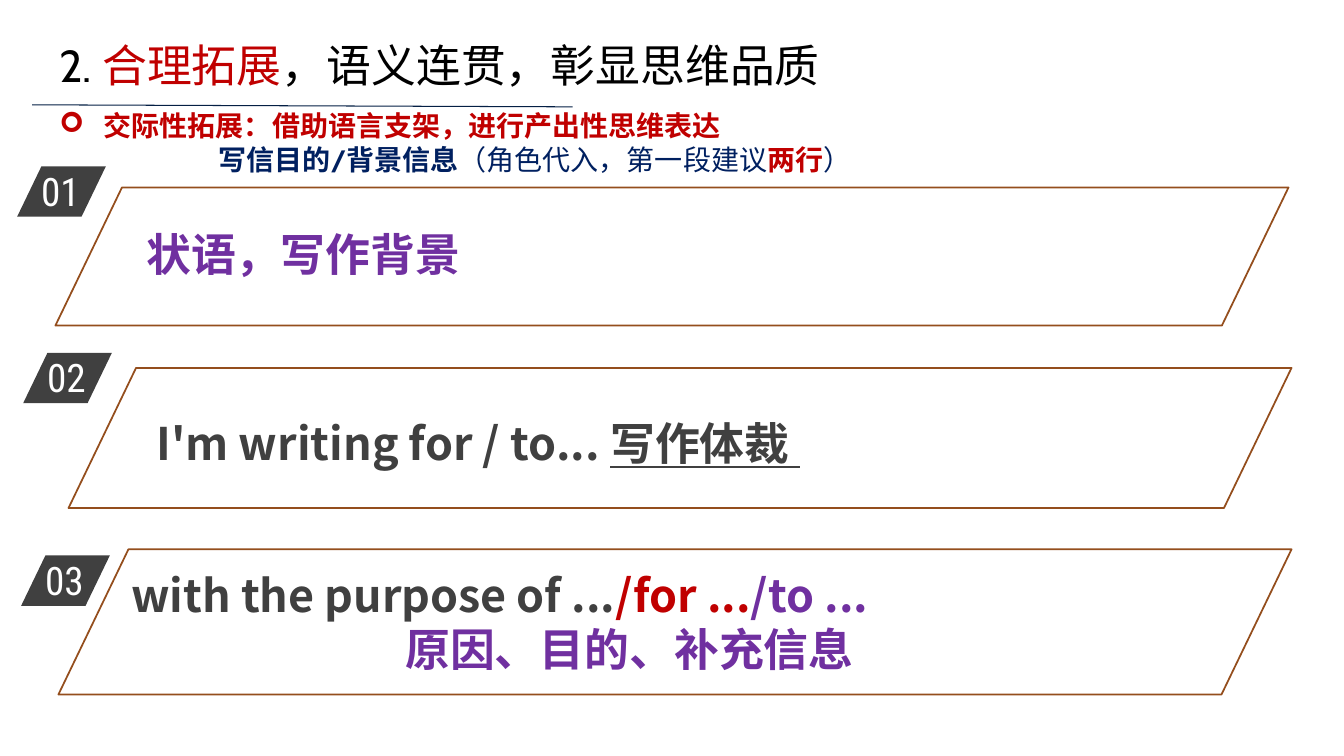
from pptx import Presentation
from pptx.dml.color import RGBColor
from pptx.enum.shapes import MSO_CONNECTOR, MSO_SHAPE
from pptx.enum.text import MSO_ANCHOR, MSO_AUTO_SIZE, PP_ALIGN
from pptx.oxml.ns import qn
from pptx.util import Inches, Pt
from lxml.etree import SubElement

W, H = 13.33, 7.5
CJK, LATIN, NUMERAL = "Noto Sans CJK SC", "Cabin", "Roboto Condensed"
BLACK, WHITE, GREY = "000000", "FFFFFF", "404040"
RED, PURPLE, NAVY = "C00000", "7030A0", "002060"
RULE, BROWN = "041F44", "944E1D"
SLANT = 0.482


def color(value):
    return RGBColor.from_string(value)


def place(sp, box):
    sp.left, sp.top, sp.width, sp.height = map(Inches, box)


def add_run(p, text, size=32, font=CJK, fill=GREY, bold=False, underline=False):
    r = p.add_run()
    r.text = text
    f = r.font
    f.size, f.name, f.bold, f.underline = Pt(size), font, bold, underline
    f.color.rgb = color(fill)
    SubElement(r._r.get_or_add_rPr(), qn("a:ea")).set("typeface", CJK)


def set_indent(p, margin, first=0.0, bullet=None):
    pPr = p._p.get_or_add_pPr()
    pPr.set("marL", str(Inches(margin)))
    pPr.set("indent", str(Inches(first)))
    if bullet:
        SubElement(pPr, qn("a:buFont")).set("typeface", "Wingdings")
        SubElement(pPr, qn("a:buChar")).set("char", bullet)


def fill_text(sp, paragraphs, inset=(0.1, 0.05)):
    """Each paragraph is a list of (text, format) pairs."""
    tf = sp.text_frame
    tf.word_wrap, tf.auto_size = True, MSO_AUTO_SIZE.NONE
    tf.vertical_anchor = MSO_ANCHOR.TOP
    tf.margin_left = tf.margin_right = Inches(inset[0])
    tf.margin_top = tf.margin_bottom = Inches(inset[1])
    for i, runs in enumerate(paragraphs):
        p = tf.add_paragraph() if i else tf.paragraphs[0]
        p.alignment = PP_ALIGN.LEFT
        for text, style in runs:
            add_run(p, text, **style)
    return tf.paragraphs


def add_text(s, box, paragraphs, **kwargs):
    return fill_text(s.shapes.add_textbox(*map(Inches, box)), paragraphs, **kwargs)


def add_slanted(s, box, fill=None, line=None):
    sp = s.shapes.add_shape(MSO_SHAPE.PARALLELOGRAM, *map(Inches, box))
    sp.adjustments[0] = SLANT
    sp.shadow.inherit = False
    if fill:
        sp.fill.solid()
        sp.fill.fore_color.rgb = color(fill)
    else:
        sp.fill.background()
    if line:
        sp.line.color.rgb = color(line)
        sp.line.width = Pt(1.25)
    else:
        sp.line.fill.background()


def add_rule(s, start, end):
    line = s.shapes.add_connector(MSO_CONNECTOR.STRAIGHT, *map(Inches, start + end))
    line.line.color.rgb = color(RULE)
    line.line.width = Pt(0.75)
    SubElement(line._element.spPr, qn("a:effectLst"))


def add_badge(s, number, left, top):
    add_slanted(s, (left, top, 0.88, 0.5), fill=GREY)
    label = [[(f"{number:02d}", dict(size=28, font=NUMERAL, fill=WHITE))]]
    add_text(s, (left + 0.14, top - 0.04, 0.84, 0.49), label)


def add_panel(s, frame, text_box, paragraphs):
    ps = add_text(s, text_box, paragraphs, inset=(0.07, 0.04))
    add_slanted(s, frame, line=BROWN)
    return ps


def main():
    prs = Presentation()
    prs.slide_width, prs.slide_height = Inches(W), Inches(H)
    s = prs.slides.add_slide(prs.slide_layouts[5])

    # Title and the rule below it
    title = s.shapes.title
    place(title, (0.49, 0.32, 12.77, 0.64))
    fill_text(title, [[
        ("2. ", dict(font=LATIN, fill=BLACK)),
        ("合理拓展", dict(font=LATIN, fill=RED)),
        ("，语义连贯，彰显思维品质", dict(font=LATIN, fill=BLACK)),
    ]])
    add_rule(s, (0.32, 1.04), (5.68, 1.06))

    # Heading with its purpose line
    small = dict(size=20, font=LATIN)
    heading, purpose = add_text(s, (0.49, 1.03, 11.79, 0.77), [
        [("交际性拓展：借助语言支架，进行产出性思维表达", dict(small, fill=RED, bold=True))],
        [("写信目的/背景信息", dict(small, fill=NAVY, bold=True)),
         ("（角色代入，第一段建议", dict(small, fill=NAVY)),
         ("两行", dict(small, fill=RED, bold=True)),
         ("）", dict(small, fill=NAVY))],
    ])
    set_indent(heading, 0.44, -0.44, "➢")
    set_indent(purpose, 1.58)

    # Numbered badges
    for number, (left, top) in enumerate([(0.17, 1.65), (0.23, 3.5), (0.21, 5.51)], 1):
        add_badge(s, number, left, top)

    # Sentence panels
    add_panel(s, (0.55, 1.86, 12.23, 1.37), (1.38, 2.21, 11.31, 0.61),
              [[("状语，写作背景", dict(fill=PURPLE, bold=True))]])
    add_panel(s, (0.68, 3.65, 12.13, 1.39), (1.48, 4.08, 10.8, 0.61),
              [[("I'm writing for / to... ", dict(bold=True)),
                ("写作体裁 ", dict(bold=True, underline=True))]])
    _, reason = add_panel(s, (0.58, 5.45, 12.23, 1.44), (1.23, 5.59, 11.61, 1.15), [
        [("with the purpose of ...", dict(bold=True)),
         ("/for ...", dict(fill=RED, bold=True)),
         ("/to ...", dict(fill=PURPLE, bold=True))],
        [("原因、目的、补充信息", dict(fill=PURPLE, bold=True))],
    ])
    set_indent(reason, 2.72)

    prs.save("out.pptx")


if __name__ == "__main__":
    main()
